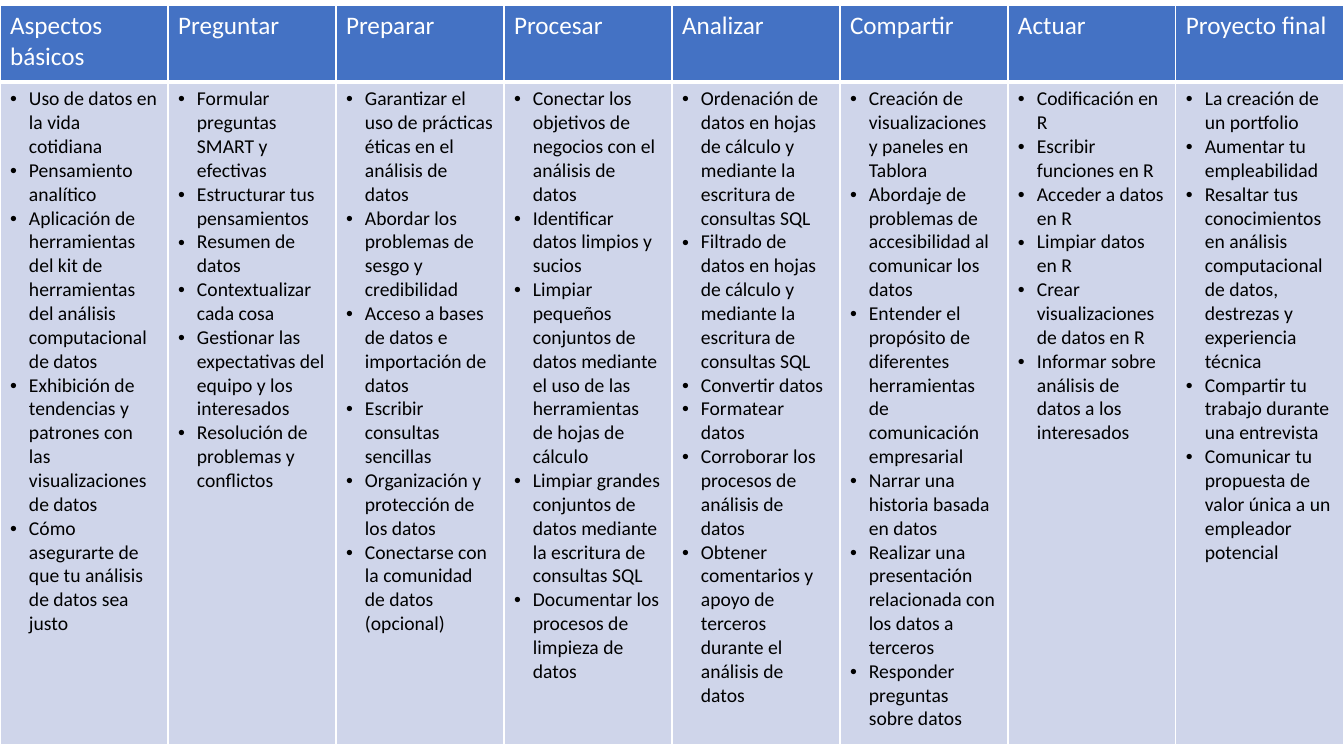
import pptx
import pptx.util
import pptx.dml.color
import pptx.oxml
import pptx.oxml.ns
import lxml.etree

Pt = pptx.util.Pt
RGBColor = pptx.dml.color.RGBColor

WHITE = RGBColor(0xFF, 0xFF, 0xFF)
BLACK = RGBColor(0, 0, 0)
BLUE = RGBColor(0x44, 0x72, 0xC4)
PALE = RGBColor(0xCF, 0xD5, 0xEA)

FONT = "Calibri"
WIDTH, HEIGHT = 960, 540
HEAD, BODY = 54.7, 473
INDENT = 13.5

STAGES = {
    "Aspectos básicos": [
        "Uso de datos en la vida cotidiana",
        "Pensamiento analítico",
        "Aplicación de herramientas del kit de herramientas del análisis "
        "computacional de datos",
        "Exhibición de tendencias y patrones con las visualizaciones de datos",
        "Cómo asegurarte de que tu análisis de datos sea justo",
    ],
    "Preguntar": [
        "Formular preguntas SMART y efectivas",
        "Estructurar tus pensamientos",
        "Resumen de datos",
        "Contextualizar cada cosa",
        "Gestionar las expectativas del equipo y los interesados",
        "Resolución de problemas y conflictos",
    ],
    "Preparar": [
        "Garantizar el uso de prácticas éticas en el análisis de datos",
        "Abordar los problemas de sesgo y credibilidad",
        "Acceso a bases de datos e importación de datos",
        "Escribir consultas sencillas",
        "Organización y protección de los datos",
        "Conectarse con la comunidad de datos (opcional)",
    ],
    "Procesar": [
        "Conectar los objetivos de negocios con el análisis de datos",
        "Identificar datos limpios y sucios",
        "Limpiar pequeños conjuntos de datos mediante el uso de las "
        "herramientas de hojas de cálculo",
        "Limpiar grandes conjuntos de datos mediante la escritura de "
        "consultas SQL",
        "Documentar los procesos de limpieza de datos",
    ],
    "Analizar": [
        "Ordenación de datos en hojas de cálculo y mediante la escritura de "
        "consultas SQL",
        "Filtrado de datos en hojas de cálculo y mediante la escritura de "
        "consultas SQL",
        "Convertir datos",
        "Formatear datos",
        "Corroborar los procesos de análisis de datos",
        "Obtener comentarios y apoyo de terceros durante el análisis de datos",
    ],
    "Compartir": [
        "Creación de visualizaciones y paneles en Tablora",
        "Abordaje de problemas de accesibilidad al comunicar los datos",
        "Entender el propósito de diferentes herramientas de comunicación "
        "empresarial",
        "Narrar una historia basada en datos",
        "Realizar una presentación relacionada con los datos a terceros",
        "Responder preguntas sobre datos",
    ],
    "Actuar": [
        "Codificación en R",
        "Escribir funciones en R",
        "Acceder a datos en R",
        "Limpiar datos en R",
        "Crear visualizaciones de datos en R",
        "Informar sobre análisis de datos a los interesados",
    ],
    "Proyecto final": [
        "La creación de un portfolio",
        "Aumentar tu empleabilidad",
        "Resaltar tus conocimientos en análisis computacional de datos, "
        "destrezas y experiencia técnica",
        "Compartir tu trabajo durante una entrevista",
        "Comunicar tu propuesta de valor única a un empleador potencial",
    ],
}


def add_node(parent, tag, **attrs):
    node = lxml.etree.SubElement(parent, pptx.oxml.ns.qn(tag))
    for name, value in attrs.items():
        node.set(name, str(value))
    return node


def write(frame, lines, size, color, bullet=False):
    for i, line in enumerate(lines):
        para = frame.paragraphs[0] if i == 0 else frame.add_paragraph()
        if bullet:
            props = para._p.get_or_add_pPr()
            props.set("marL", str(Pt(INDENT)))
            props.set("indent", str(-Pt(INDENT)))
            add_node(props, "a:buFont", typeface="Arial")
            add_node(props, "a:buChar", char="•")
        run = para.add_run()
        run.text = line
        run.font.name = FONT
        run.font.size = Pt(size)
        run.font.bold = False
        run.font.color.rgb = color


def paint(cell, color, top=1, bottom=1):
    """Give the cell white borders, then its fill, in schema order."""
    props = cell._tc.get_or_add_tcPr()
    for side, width in zip("LRTB", (1, 1, top, bottom)):
        line = add_node(props, f"a:ln{side}", w=Pt(width))
        fill = add_node(line, "a:solidFill")
        add_node(fill, "a:srgbClr", val=WHITE)
    cell.fill.solid()
    cell.fill.fore_color.rgb = color


def add_stages(slide, left, top, width):
    count = len(STAGES)
    table = slide.shapes.add_table(
        2, count, Pt(left), Pt(top), Pt(width), Pt(HEAD + BODY)).table
    table.rows[0].height = Pt(HEAD)
    table.rows[1].height = Pt(BODY)
    for col, (title, tasks) in enumerate(STAGES.items()):
        table.columns[col].width = Pt(width / count)
        head, body = table.cell(0, col), table.cell(1, col)
        paint(head, BLUE, bottom=3)
        write(head.text_frame, [title], 18, WHITE)
        paint(body, PALE, top=3)
        write(body.text_frame, tasks, 14, BLACK, bullet=True)


def main():
    deck = pptx.Presentation()
    deck.slide_width, deck.slide_height = Pt(WIDTH), Pt(HEIGHT)
    slide = deck.slides.add_slide(deck.slide_layouts[6])
    add_stages(slide, 0, 4, WIDTH)
    deck.save("out.pptx")


if __name__ == "__main__":
    main()
